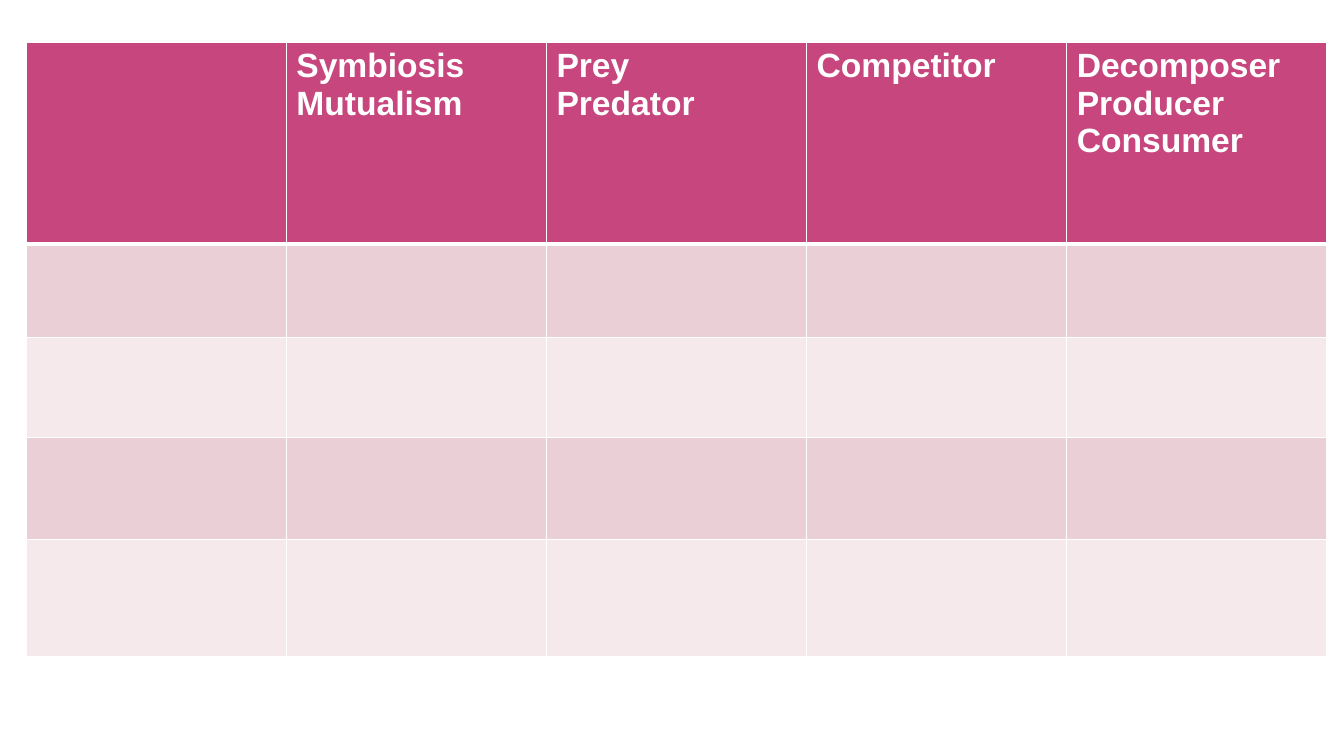
from lxml import etree
from pptx import Presentation
from pptx.dml.color import RGBColor
from pptx.oxml.ns import qn
from pptx.util import Inches, Pt

FONT = "Arial"
WHITE = "FFFFFF"
HEADER_FILL = "C6467D"
BAND_FILLS = ("EACFD7", "F5E9EC")
HEADINGS = (
    (),
    ("Symbiosis", "Mutualism"),
    ("Prey", "Predator"),
    ("Competitor",),
    ("Decomposer", "Producer", "Consumer"),
)
COLUMN_WIDTH = 2.58
ROW_HEIGHTS = (2, 0.93, 0.99, 1.01, 1.16)


def color(hex_string):
    return RGBColor.from_string(hex_string)


def write_text(text_frame, lines, *, size, font_color, bold=False):
    """Write each line as its own paragraph."""
    for index, line in enumerate(lines):
        paragraph = text_frame.add_paragraph() if index else text_frame.paragraphs[0]
        run = paragraph.add_run()
        run.text = line
        run.font.name = FONT
        run.font.size = Pt(size)
        run.font.bold = bold
        run.font.color.rgb = color(font_color)


def set_borders(cell, *, top=1, bottom=1):
    """Draw white borders; widths are in points and must be set before the fill."""
    properties = cell._tc.get_or_add_tcPr()
    for side, width in (("L", 1), ("R", 1), ("T", top), ("B", bottom)):
        line = etree.SubElement(properties, qn(f"a:ln{side}"), w=str(Pt(width)))
        fill = etree.SubElement(line, qn("a:solidFill"))
        etree.SubElement(fill, qn("a:srgbClr"), val=WHITE)


def set_fill(cell, hex_string):
    cell.fill.solid()
    cell.fill.fore_color.rgb = color(hex_string)


def add_relationship_table(slide):
    frame = slide.shapes.add_table(
        len(ROW_HEIGHTS), len(HEADINGS), Inches(0.26), Inches(0.42),
        Inches(COLUMN_WIDTH * len(HEADINGS)), Inches(sum(ROW_HEIGHTS)))
    table = frame.table
    for column in table.columns:
        column.width = Inches(COLUMN_WIDTH)
    for row_index, height in enumerate(ROW_HEIGHTS):
        row = table.rows[row_index]
        row.height = Inches(height)
        is_header = row_index == 0
        row_fill = HEADER_FILL if is_header else BAND_FILLS[(row_index - 1) % 2]
        for cell in row.cells:
            set_borders(cell, top=3 if row_index == 1 else 1,
                        bottom=3 if is_header else 1)
            set_fill(cell, row_fill)
    for cell, lines in zip(table.rows[0].cells, HEADINGS):
        write_text(cell.text_frame, lines, size=24, font_color=WHITE, bold=True)


def main():
    presentation = Presentation()
    presentation.slide_width = Inches(13.33)
    presentation.slide_height = Inches(7.5)
    slide = presentation.slides.add_slide(presentation.slide_layouts[6])
    add_relationship_table(slide)
    presentation.save("out.pptx")


if __name__ == "__main__":
    main()
